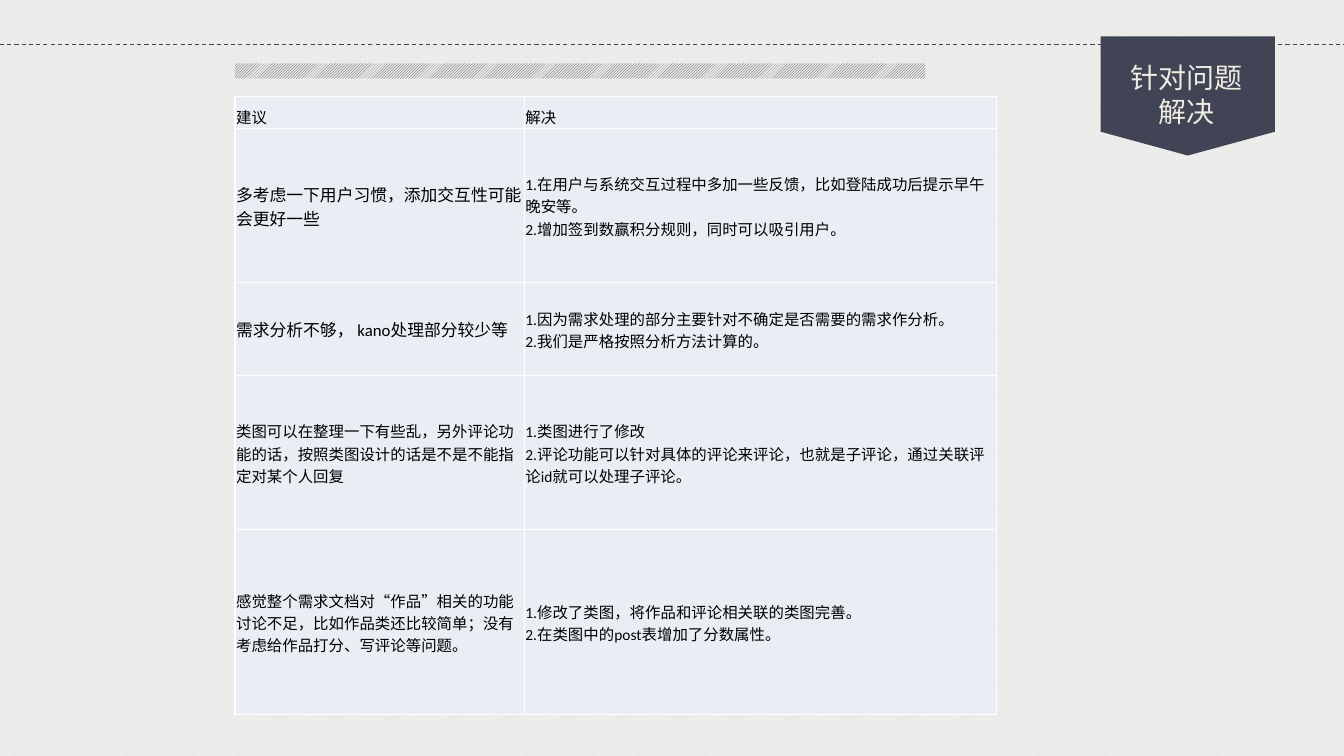
from lxml.etree import SubElement
from pptx import Presentation
from pptx.dml.color import RGBColor
from pptx.enum.dml import MSO_LINE, MSO_PATTERN
from pptx.enum.shapes import MSO_CONNECTOR, MSO_SHAPE
from pptx.enum.text import MSO_ANCHOR, MSO_AUTO_SIZE, PP_ALIGN
from pptx.oxml.ns import qn
from pptx.util import Cm, Pt

COLORS = {
    "navy": "414455",
    "cream": "EEECE1",
    "paper": "E8E8E6",
    "white": "FFFFFF",
    "cell": "E9EDF4",
    "black": "000000",
}
CHINESE_FONT = "Noto Sans CJK SC"
LATIN_FONT = "Calibri"

TABLE_LEFT, TABLE_TOP = 5.92, 2.44
COLUMN_WIDTHS = [7.29, 11.91]
ROW_HEIGHTS = [0.79, 3.89, 2.34, 3.89, 4.65]

# Each row: suggestion, its text size, solution
ROWS = [
    ("建议", 11, "解决"),
    ("多考虑一下用户习惯，添加交互性可能会更好一些", 12,
     "1.在用户与系统交互过程中多加一些反馈，比如登陆成功后提示早午晚安等。\n"
     "2.增加签到数赢积分规则，同时可以吸引用户。"),
    ("需求分析不够， kano处理部分较少等", 12,
     "1.因为需求处理的部分主要针对不确定是否需要的需求作分析。\n"
     "2.我们是严格按照分析方法计算的。"),
    ("类图可以在整理一下有些乱，另外评论功能的话，按照类图设计的话是不是不能指定对某个人回复", 11,
     "1.类图进行了修改\n"
     "2.评论功能可以针对具体的评论来评论，也就是子评论，通过关联评论id就可以处理子评论。"),
    ("感觉整个需求文档对“作品”相关的功能讨论不足，比如作品类还比较简单；没有考虑给作品打分、写评论等问题。", 11,
     "1.修改了类图，将作品和评论相关联的类图完善。\n"
     "2.在类图中的post表增加了分数属性。"),
]


def rgb(name):
    return RGBColor.from_string(COLORS[name])


def fill_diagonal(fill, foreground):
    fill.patterned()
    fill.pattern = MSO_PATTERN.LIGHT_UPWARD_DIAGONAL
    fill.fore_color.rgb = rgb(foreground)
    fill.back_color.rgb = rgb("paper")


def set_font(paragraph, size, color, latin):
    font = paragraph.font
    font.size = Pt(size)
    font.name = latin
    font.color.rgb = rgb(color)
    properties = paragraph._p.pPr.find(qn("a:defRPr"))
    SubElement(properties, qn("a:ea"), typeface=CHINESE_FONT)


def add_dashed_line(slide, top, width):
    line = slide.shapes.add_connector(
        MSO_CONNECTOR.STRAIGHT, 0, Cm(top), width, Cm(top))
    line.line.color.rgb = rgb("navy")
    line.line.width = Pt(0.75)
    line.line.dash_style = MSO_LINE.DASH
    SubElement(line._element.spPr, qn("a:effectLst"))


def add_plain_shape(slide, preset, left, top, width, height):
    """Add a shape without outline or shadow; the caller fills it."""
    shape = slide.shapes.add_shape(
        preset, Cm(left), Cm(top), Cm(width), Cm(height))
    shape.shadow.inherit = False
    shape.line.fill.background()
    return shape


def add_title(slide, lines, left, top, width, height):
    box = slide.shapes.add_textbox(Cm(left), Cm(top), Cm(width), Cm(height))
    frame = box.text_frame
    frame.word_wrap = False
    frame.auto_size = MSO_AUTO_SIZE.SHAPE_TO_FIT_TEXT
    frame.text = "\n".join(lines)
    for paragraph in frame.paragraphs:
        paragraph.alignment = PP_ALIGN.CENTER
        set_font(paragraph, 20, "cream", CHINESE_FONT)


def add_borders(cell):
    properties = cell._tc.get_or_add_tcPr()
    for side in ("lnL", "lnR", "lnT", "lnB"):
        border = SubElement(properties, qn(f"a:{side}"), w=str(Pt(1)))
        fill = SubElement(border, qn("a:solidFill"))
        SubElement(fill, qn("a:srgbClr"), val=COLORS["white"])


def fill_cell(cell, text, size, anchor):
    add_borders(cell)
    cell.fill.solid()
    cell.fill.fore_color.rgb = rgb("cell")
    cell.vertical_anchor = anchor
    cell.margin_left = cell.margin_right = cell.margin_top = Cm(0.03)
    cell.margin_bottom = 0
    paragraph = cell.text_frame.paragraphs[0]
    paragraph.text = text
    set_font(paragraph, size, "black", LATIN_FONT)


def add_suggestion_table(slide):
    table = slide.shapes.add_table(
        len(ROWS), len(COLUMN_WIDTHS), Cm(TABLE_LEFT), Cm(TABLE_TOP),
        Cm(sum(COLUMN_WIDTHS)), Cm(sum(ROW_HEIGHTS))).table
    table.first_row = table.horz_banding = False
    for column, width in zip(table.columns, COLUMN_WIDTHS):
        column.width = Cm(width)
    for index, (suggestion, size, solution) in enumerate(ROWS):
        table.rows[index].height = Cm(ROW_HEIGHTS[index])
        anchor = MSO_ANCHOR.MIDDLE if index else MSO_ANCHOR.BOTTOM
        fill_cell(table.cell(index, 0), suggestion, size, anchor)
        fill_cell(table.cell(index, 1), solution, 11, anchor)


def main():
    presentation = Presentation()
    presentation.slide_width = Cm(33.87)
    presentation.slide_height = Cm(19.05)
    slide = presentation.slides.add_slide(presentation.slide_layouts[6])
    fill_diagonal(slide.background.fill, "white")

    add_dashed_line(slide, 1.12, presentation.slide_width)
    badge = add_plain_shape(
        slide, MSO_SHAPE.FLOWCHART_OFFPAGE_CONNECTOR, 27.74, 0.92, 4.39, 3)
    badge.fill.solid()
    badge.fill.fore_color.rgb = rgb("navy")
    add_title(slide, ["针对问题", "解决"], 28.22, 1.4, 3.35, 1.96)
    stripe = add_plain_shape(
        slide, MSO_SHAPE.RECTANGLE, TABLE_LEFT, 1.6, 17.4, 0.38)
    fill_diagonal(stripe.fill, "navy")
    add_suggestion_table(slide)

    presentation.save("out.pptx")


if __name__ == "__main__":
    main()
